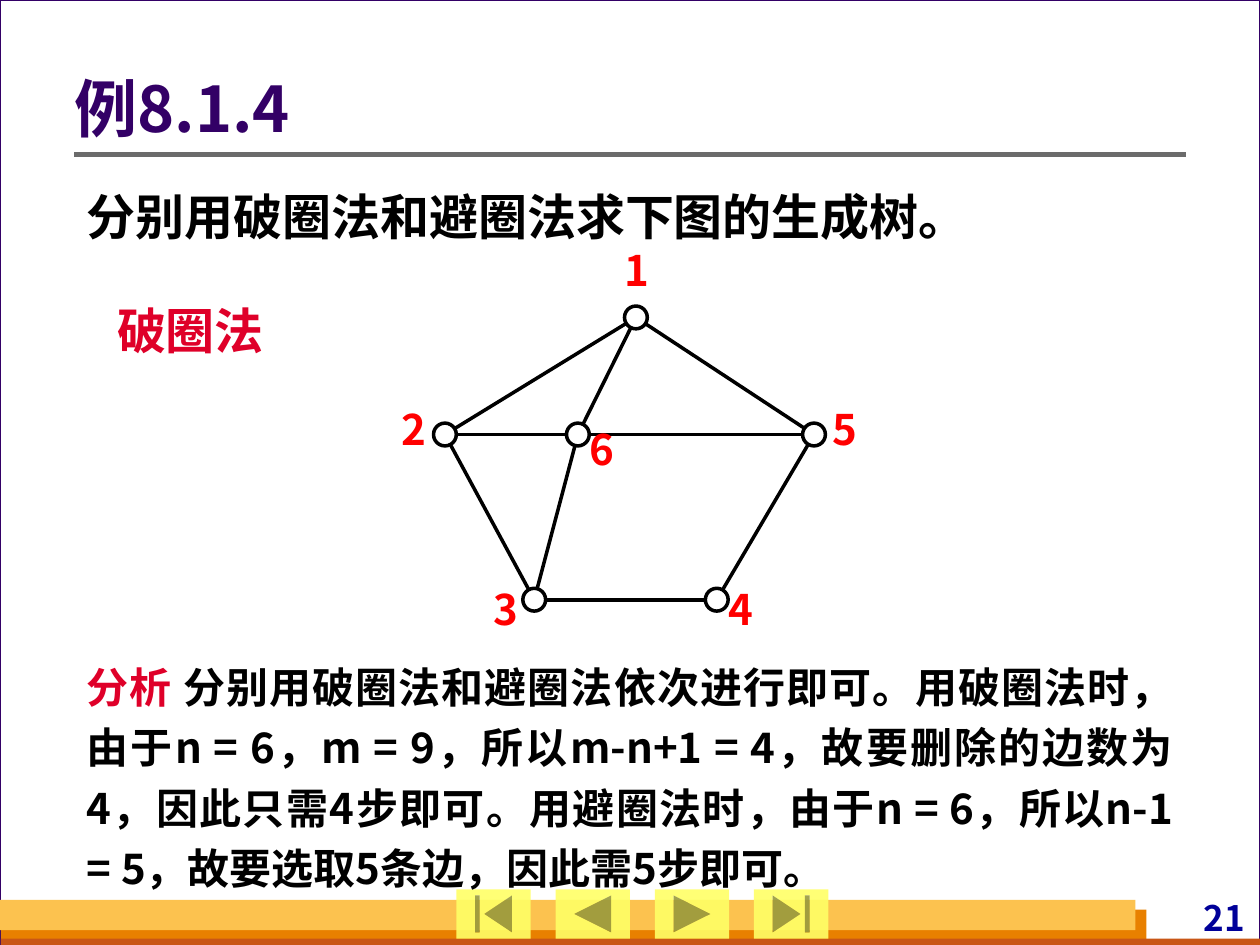
from math import hypot

from lxml import etree
from pptx import Presentation
from pptx.dml.color import RGBColor
from pptx.enum.shapes import MSO_CONNECTOR, MSO_SHAPE
from pptx.enum.text import MSO_ANCHOR, MSO_AUTO_SIZE, PP_ALIGN
from pptx.oxml.ns import qn
from pptx.util import Cm, Pt

LEFT, MID, RIGHT, JUST = PP_ALIGN.LEFT, PP_ALIGN.CENTER, PP_ALIGN.RIGHT, PP_ALIGN.JUSTIFY
TOP, MIDDLE = MSO_ANCHOR.TOP, MSO_ANCHOR.MIDDLE
RECT, OVAL, LINE = MSO_SHAPE.RECTANGLE, MSO_SHAPE.OVAL, MSO_CONNECTOR.STRAIGHT
NO_FIT = MSO_AUTO_SIZE.NONE
BUTTONS = (
    MSO_SHAPE.ACTION_BUTTON_BEGINNING,
    MSO_SHAPE.ACTION_BUTTON_BACK_OR_PREVIOUS,
    MSO_SHAPE.ACTION_BUTTON_FORWARD_OR_NEXT,
    MSO_SHAPE.ACTION_BUTTON_END,
)

FONT = "Noto Sans CJK SC"
BLACK = RGBColor(0x00, 0x00, 0x00)
WHITE = RGBColor(0xFF, 0xFF, 0xFF)
GREY = RGBColor(0x6B, 0x6B, 0x6B)
PALE = RGBColor(0xD8, 0xDA, 0xDA)
PURPLE = RGBColor(0x33, 0x00, 0x66)
NAVY = RGBColor(0x00, 0x00, 0x99)
RED = RGBColor(0xFF, 0x00, 0x00)
CRIMSON = RGBColor(0xDF, 0x00, 0x29)
ORANGE = RGBColor(0xE8, 0x80, 0x00)
RUST = RGBColor(0xC9, 0x56, 0x16)
AMBER = RGBColor(0xFC, 0xC2, 0x4F)
YELLOW = RGBColor(0xFF, 0xFF, 0x66)


def add_shape(kind, at, fill, line=None, width=0.75):
    shape = slide.shapes.add_shape(kind, *map(Cm, at))
    shape.shadow.inherit = False
    shape.fill.solid()
    shape.fill.fore_color.rgb = fill
    if line is None:
        shape.line.fill.background()
    else:
        shape.line.color.rgb = line
        shape.line.width = Pt(width)
    return shape


def write(text, at, size, color, box=None, align=LEFT, anchor=TOP,
          pads=(0.25, 0.13, 0.25, 0.13), space=1, wrap=True, lead=""):
    """Write text into box, or a new text box, after an optional crimson lead."""
    box = box or slide.shapes.add_textbox(0, 0, 0, 0)
    box.left, box.top, box.width, box.height = map(Cm, at)
    frame = box.text_frame
    frame.auto_size = NO_FIT
    frame.word_wrap = wrap
    frame.vertical_anchor = anchor
    (frame.margin_left, frame.margin_top,
     frame.margin_right, frame.margin_bottom) = map(Cm, pads)
    para = frame.paragraphs[0]
    para.alignment = align
    para.line_spacing = space
    para.space_before = Pt(0)
    props = para._p.get_or_add_pPr()
    props.set("marL", "0")
    props.set("indent", "0")
    etree.SubElement(props, qn("a:buNone"))
    for words, tint in ((lead, CRIMSON), (text, color)):
        if words:
            run = para.add_run()
            run.text = words
            run.font.size = Pt(size)
            run.font.bold = True
            run.font.color.rgb = tint
            run.font.name = FONT
            etree.SubElement(run._r.get_or_add_rPr(), qn("a:ea"), typeface=FONT)


deck = Presentation()
deck.slide_width, deck.slide_height = Cm(25.4), Cm(19.05)
slide = deck.slides.add_slide(deck.slide_layouts[1])
slide.background.fill.solid()
slide.background.fill.fore_color.rgb = PALE
title, body = slide.placeholders

# Page frame, footer bands and navigation buttons
add_shape(RECT, (0, 0, 25.4, 19.05), WHITE, PURPLE)
add_shape(RECT, (0.02, 18.34, 23.09, 0.71), ORANGE)
add_shape(RECT, (0.02, 18.92, 25.4, 0.2), RUST)
add_shape(RECT, (0, 18.14, 22.89, 0.61), AMBER)
for i, kind in enumerate(BUTTONS):
    button = add_shape(kind, (9.2 + 2 * i, 17.93, 1.5, 0.99), YELLOW)
    tone = button._element.spPr.find(".//" + qn("a:srgbClr"))
    etree.SubElement(tone, qn("a:alpha"), val="90000")
write("21", (22.5, 18.08, 2.7, 0.84), 20, NAVY, align=RIGHT, pads=(0.1, 0, 0.1, 0))

# Title and question, in front of the page frame
for holder in (title, body):
    slide.shapes._spTree.append(holder._element)
write("例8.1.4", (1.5, 0.97, 22.4, 2.57), 36, PURPLE, box=title,
      anchor=MIDDLE, pads=(0, 0.13, 0.25, 0.13), space=0.9)
write("分别用破圈法和避圈法求下图的生成树。", (1.5, 3.4, 22.4, 1.68), 28, BLACK,
      box=body, align=JUST, space=1.2)

# Graph: node centres, label corners and edges, in cm
NODES = {
    1: (12.82, 6.4), 2: (8.97, 8.76), 3: (10.77, 12.09),
    4: (14.45, 12.09), 5: (16.41, 8.76), 6: (11.65, 8.76),
}
LABELS = {
    1: (12.4, 4.93), 2: (7.9, 8.13), 3: (9.75, 11.76),
    4: (14.5, 11.76), 5: (16.59, 8.13), 6: (11.68, 8.53),
}
EDGES = ((1, 6), (6, 5), (6, 3), (2, 6), (1, 2), (5, 4), (3, 4), (1, 5), (2, 3))
RADIUS = 0.23

lines = [(1.5, 3.12, 23.9, 3.12, GREY, 3)]
for start, end in EDGES:
    (x1, y1), (x2, y2) = NODES[start], NODES[end]
    part = RADIUS / hypot(x2 - x1, y2 - y1)
    dx, dy = (x2 - x1) * part, (y2 - y1) * part
    lines.append((x1 + dx, y1 + dy, x2 - dx, y2 - dy, BLACK, 2))
for *ends, color, width in lines:
    line = slide.shapes.add_connector(LINE, *map(Cm, ends))
    line.line.color.rgb = color
    line.line.width = Pt(width)
    etree.SubElement(line._element.spPr, qn("a:effectLst"))

for node, (x, y) in NODES.items():
    add_shape(OVAL, (x - RADIUS, y - RADIUS, 2 * RADIUS, 2 * RADIUS), WHITE, BLACK, 2)
    write(str(node), (*LABELS[node], 0.89, 1.02), 24, RED, align=MID, pads=(0, 0, 0, 0))

# Analysis and method name
write(" 分别用破圈法和避圈法依次进行即可。用破圈法时，由于n = 6，m = 9，"
      "所以m-n+1 = 4，故要删除的边数为4，因此只需4步即可。用避圈法时，"
      "由于n = 6，所以n-1 = 5，故要选取5条边，因此需5步即可。",
      (1.5, 13, 22.4, 5.13), 24, BLACK, align=JUST, space=1.2, lead="分析")
write("破圈法", (2.11, 5.92, 3.45, 1.45), 28, CRIMSON, wrap=False)

deck.save("out.pptx")
